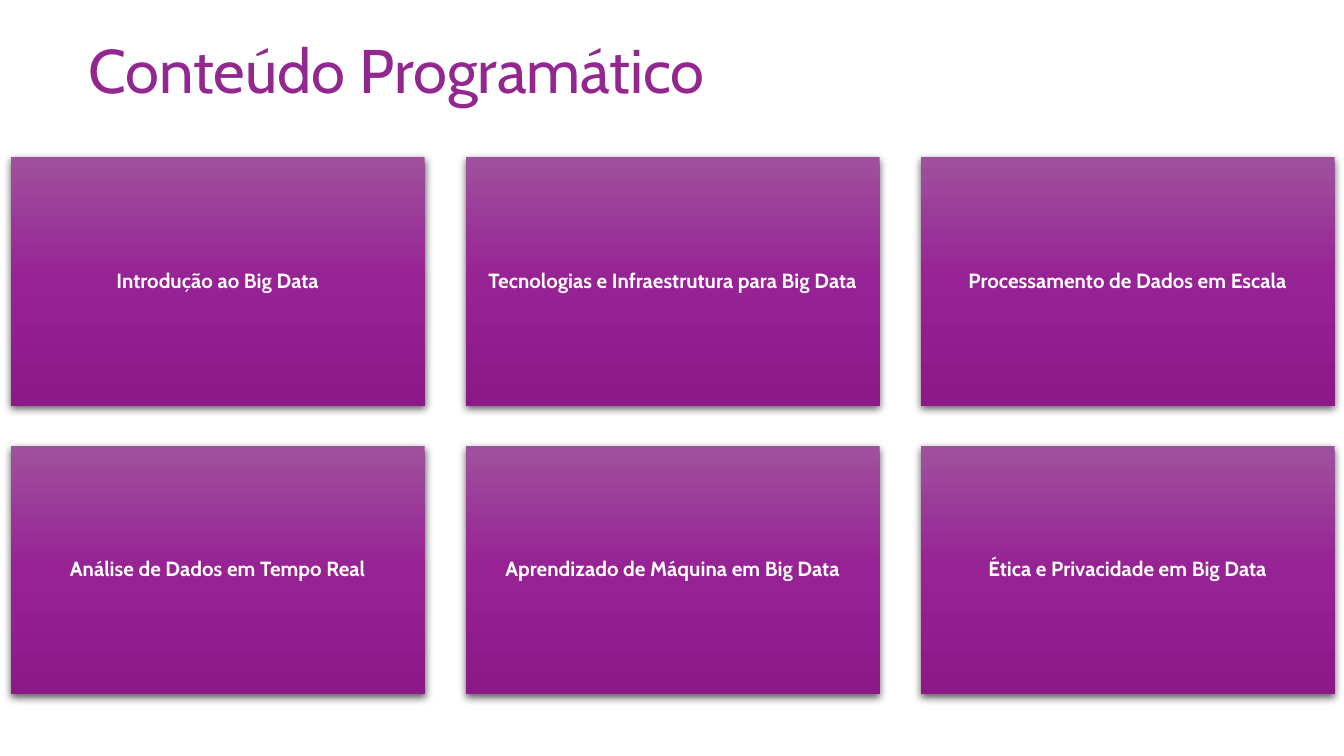
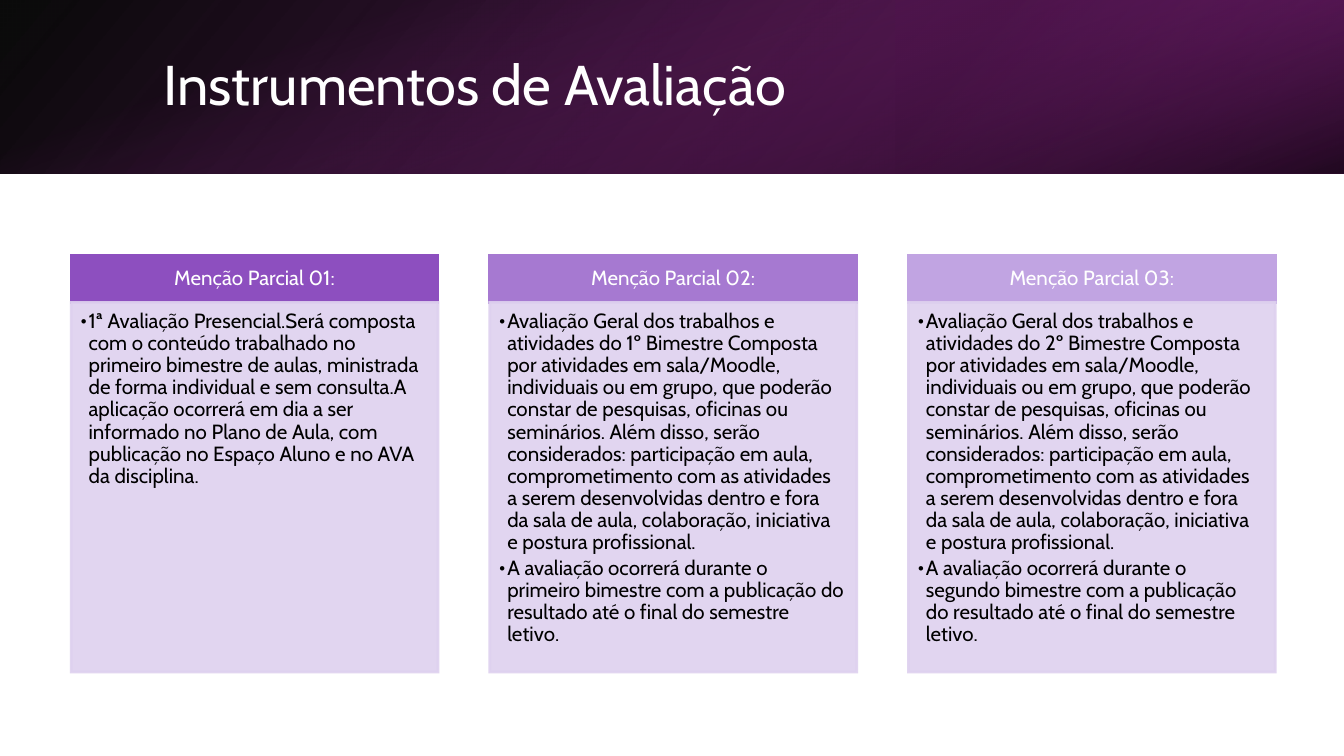
from lxml import etree
from pptx import Presentation
from pptx.dml.color import RGBColor
from pptx.enum.shapes import MSO_SHAPE
from pptx.enum.text import MSO_ANCHOR, PP_ALIGN
from pptx.oxml.ns import qn
from pptx.util import Inches, Pt

RECT = MSO_SHAPE.RECTANGLE
TOP, MIDDLE = MSO_ANCHOR.TOP, MSO_ANCHOR.MIDDLE
LEFT, CENTER = PP_ALIGN.LEFT, PP_ALIGN.CENTER

# Shared style
WIDTH = 10
HEIGHT = WIDTH * 9 / 16
BAND_HEIGHT = 1.29
FONT = "Cabin"
BODY_SIZE = 11
LINE_SPACING = 0.9
LABEL_GAP, BULLET_GAP = 0.35 * BODY_SIZE, 0.15 * BODY_SIZE
BULLET_INDENT = 0.06

WHITE = RGBColor(0xFF, 0xFF, 0xFF)
BLACK = RGBColor(0x00, 0x00, 0x00)
PURPLE = RGBColor(0x92, 0x27, 0x8F)
PLUM = RGBColor(0x6D, 0x1D, 0x6B)
DARK_PLUM = RGBColor(0x49, 0x14, 0x47)
CARD_TOP = RGBColor(0x9F, 0x51, 0x9D)
CARD_MIDDLE = RGBColor(0x97, 0x22, 0x94)
CARD_BOTTOM = RGBColor(0x8B, 0x19, 0x88)
VIOLET = RGBColor(0x8D, 0x4F, 0xBF)
MID_VIOLET = RGBColor(0xA6, 0x79, 0xD1)
LIGHT_VIOLET = RGBColor(0xC1, 0xA4, 0xE2)
LILAC = RGBColor(0xDE, 0xD1, 0xEF)

CARD_STOPS = [(0, CARD_TOP, 100), (50, CARD_MIDDLE, 100), (100, CARD_BOTTOM, 100)]

# Content
TOPICS = [
    "Introdução ao Big Data",
    "Tecnologias e Infraestrutura para Big Data",
    "Processamento de Dados em Escala",
    "Análise de Dados em Tempo Real",
    "Aprendizado de Máquina em Big Data",
    "Ética e Privacidade em Big Data",
]

FIRST_EXAM = (
    "1ª Avaliação Presencial.Será composta com o conteúdo trabalhado no primeiro "
    "bimestre de aulas, ministrada de forma individual e sem consulta.A aplicação "
    "ocorrerá em dia a ser informado no Plano de Aula, com publicação no Espaço "
    "Aluno e no AVA da disciplina."
)


def coursework(number, name):
    """Bullets for the general assessment of one bimester."""
    return [
        f"Avaliação Geral dos trabalhos e atividades do {number} Bimestre Composta por "
        "atividades em sala/Moodle, individuais ou em grupo, que poderão constar de "
        "pesquisas, oficinas ou seminários. Além disso, serão considerados: "
        "participação em aula, comprometimento com as atividades a serem "
        "desenvolvidas dentro e fora da sala de aula, colaboração, iniciativa e "
        "postura profissional.",
        f"A avaliação ocorrerá durante o {name} bimestre com a publicação do "
        "resultado até o final do semestre letivo.",
    ]


ASSESSMENTS = [
    ("Menção Parcial 01:", VIOLET, [FIRST_EXAM]),
    ("Menção Parcial 02:", MID_VIOLET, coursework("1º", "primeiro")),
    ("Menção Parcial 03:", LIGHT_VIOLET, coursework("2º", "segundo")),
]


def sub(parent, tag, **attrs):
    return etree.SubElement(parent, qn(tag), {k: str(v) for k, v in attrs.items()})


def add_rect(s, x, y, w, h):
    sp = s.shapes.add_shape(RECT, Inches(x), Inches(y), Inches(w), Inches(h))
    sp.shadow.inherit = False
    sp.line.fill.background()
    return sp


def set_gradient(sp, stops, angle):
    """Linear gradient from (position, colour, opacity) stops, clockwise angle."""
    sp.fill.gradient()
    grad = sp._element.spPr.find(qn("a:gradFill"))
    for child in list(grad):
        grad.remove(child)
    gs_list = sub(grad, "a:gsLst")
    for pos, color, opacity in stops:
        gs = sub(gs_list, "a:gs", pos=pos * 1000)
        clr = sub(gs, "a:srgbClr", val=color)
        if opacity < 100:
            sub(clr, "a:alpha", val=opacity * 1000)
    sub(grad, "a:lin", ang=angle * 60000, scaled=0)


def set_solid(sp, color, opacity=100):
    """Fill with a sharp-cornered outline of the same colour."""
    sp.line.width = Pt(1.5)
    for fill in (sp.fill, sp.line.fill):
        fill.solid()
        fill.fore_color.rgb = color
    spPr = sp._element.spPr
    sub(spPr.find(qn("a:ln")), "a:miter", lim=800000)
    if opacity < 100:
        for clr in spPr.iter(qn("a:srgbClr")):
            sub(clr, "a:alpha", val=opacity * 1000)


def add_drop_shadow(sp):
    effects = sp._element.spPr.find(qn("a:effectLst"))
    shadow = sub(effects, "a:outerShdw", blurRad=Pt(4.5), dist=Pt(1.5),
                 dir=90 * 60000, algn="ctr", rotWithShape=0)
    clr = sub(shadow, "a:srgbClr", val=BLACK)
    sub(clr, "a:alpha", val=63000)


def set_text(sp, texts, color, size=BODY_SIZE, bold=False, align=CENTER,
             anchor=MIDDLE, insets=(0.1, 0.05, 0.1, 0.05), gap=0, bullet=False):
    tf = sp.text_frame
    tf.word_wrap = True
    tf.vertical_anchor = anchor
    tf.margin_left, tf.margin_top, tf.margin_right, tf.margin_bottom = map(Inches, insets)
    for i, text in enumerate(texts):
        p = tf.paragraphs[0] if i == 0 else tf.add_paragraph()
        p.text = text
        p.alignment = align
        p.line_spacing = LINE_SPACING
        p.space_after = Pt(gap)
        if bullet:
            p.level = 1
            pPr = p._p.get_or_add_pPr()
            pPr.set("marL", str(Inches(BULLET_INDENT)))
            pPr.set("indent", str(-Inches(BULLET_INDENT)))
            sub(pPr, "a:buFont", typeface=FONT)
            sub(pPr, "a:buChar", char="•")
        p.font.name = FONT
        p.font.size = Pt(size)
        p.font.bold = bold
        p.font.color.rgb = color


def add_title(s, text, x, y, w, h, size, color):
    sp = s.shapes.add_textbox(Inches(x), Inches(y), Inches(w), Inches(h))
    set_text(sp, [text], color, size, align=LEFT)


def column_lefts(count, first, last):
    """Evenly spaced left edges from the first column to the last."""
    step = (last - first) / (count - 1)
    return [first + i * step for i in range(count)]


def add_card(s, text, x, y, w, h):
    sp = add_rect(s, x, y, w, h)
    set_gradient(sp, CARD_STOPS, 90)
    add_drop_shadow(sp)
    set_text(sp, [text], WHITE, bold=True, insets=[0.05] * 4, gap=LABEL_GAP)


def add_band(s):
    """Dark header band made of three layered gradients."""
    base = add_rect(s, 0, 0, WIDTH, BAND_HEIGHT)
    set_gradient(base, [(0, BLACK, 96), (100, PLUM, 100)], 140)

    glow = add_rect(s, WIDTH * 2 / 3, 0, WIDTH / 3, BAND_HEIGHT)
    set_gradient(glow, [(19, DARK_PLUM, 68), (100, PURPLE, 79)], 320)
    glow.rotation = 180
    for sp in (base, glow):
        sp._element.spPr.find(qn("a:xfrm")).set("flipH", "1")

    offset = (WIDTH - BAND_HEIGHT) / 2
    shade = add_rect(s, offset, -offset, BAND_HEIGHT, WIDTH)
    set_gradient(shade, [(23, PURPLE, 0), (99, BLACK, 74)], 340)
    shade.rotation = 90


def add_assessment(s, heading, color, bullets, x, y, w):
    head_h, body_h = 0.35, 2.75
    head = add_rect(s, x, y, w, head_h)
    set_solid(head, color)
    set_text(head, [heading], WHITE, insets=(0.09, 0.05, 0.09, 0.05), gap=LABEL_GAP)
    body = add_rect(s, x, y + head_h, w, body_h)
    set_solid(body, LILAC, 90)
    set_text(body, bullets, BLACK, align=LEFT, anchor=TOP,
             insets=(0.07, 0.06, 0.09, 0.1), gap=BULLET_GAP, bullet=True)


def build_syllabus(s):
    add_title(s, "Conteúdo Programático", 0.56, 0, 8.62, 1.09, 33, PURPLE)
    w, gap, top = 3.08, 0.3, 1.17
    h = 0.6 * w
    lefts = column_lefts(3, 0.08, 6.85)
    for i, topic in enumerate(TOPICS):
        row, col = divmod(i, len(lefts))
        add_card(s, topic, lefts[col], top + row * (h + gap), w, h)


def build_assessments(s):
    add_band(s)
    add_title(s, "Instrumentos de Avaliação", 1.12, 0.29, 8.24, 0.72, 30, WHITE)
    lefts = column_lefts(len(ASSESSMENTS), 0.53, 6.76)
    for x, (heading, color, bullets) in zip(lefts, ASSESSMENTS):
        add_assessment(s, heading, color, bullets, x, 1.9, 2.73)


def main():
    prs = Presentation()
    prs.slide_width, prs.slide_height = Inches(WIDTH), Inches(HEIGHT)
    blank = prs.slide_layouts[6]
    for build in (build_syllabus, build_assessments):
        build(prs.slides.add_slide(blank))
    prs.save("out.pptx")


if __name__ == "__main__":
    main()
